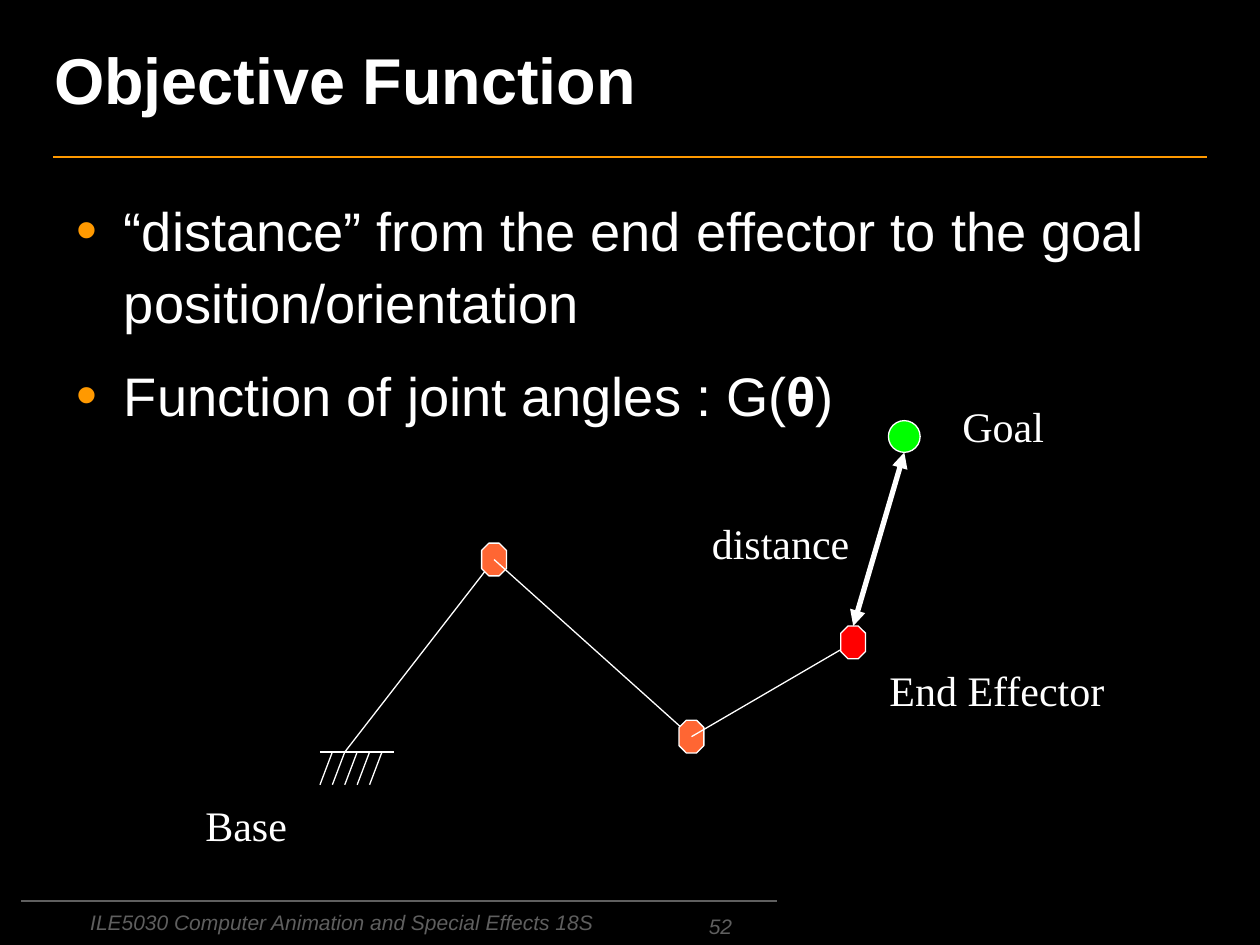
from lxml.etree import SubElement
from pptx import Presentation
from pptx.dml.color import RGBColor
from pptx.enum.shapes import MSO_CONNECTOR, MSO_SHAPE
from pptx.enum.text import MSO_ANCHOR, PP_ALIGN
from pptx.oxml import parse_xml
from pptx.oxml.ns import nsdecls, qn
from pptx.util import Cm, Pt

WHITE, ORANGE, GREY = "FFFFFF", "FF9900", "5F5F5F"
JOINT, EFFECTOR, GOAL = "FF6633", "FF0000", "00FF00"

TITLE = {"name": "Arial", "size": Pt(37), "bold": True}
BODY = {"name": "Arial", "size": Pt(31)}
FOOTER = {"name": "Arial", "size": Pt(12), "italic": True}
LABEL = {"name": "Times New Roman", "size": Pt(24)}


def rgb(hex_colour):
    return RGBColor.from_string(hex_colour)


def apply(target, values):
    for name, value in values.items():
        setattr(target, name, value)


class Deck:
    """Holds the presentation, its style and the current slide."""

    def __init__(self, width, height):
        self.presentation = Presentation()
        self.presentation.slide_width = Cm(width)
        self.presentation.slide_height = Cm(height)

    def add_slide(self, background):
        layout = self.presentation.slide_layouts[6]
        self.slide = self.presentation.slides.add_slide(layout)
        fill = self.slide.background.fill
        fill.solid()
        fill.fore_color.rgb = rgb(background)

    def line(self, start, end, colour=WHITE, width=0.75, arrows=False):
        connector = self.slide.shapes.add_connector(
            MSO_CONNECTOR.STRAIGHT, *map(Cm, (*start, *end)))
        connector.line.color.rgb = rgb(colour)
        connector.line.width = Pt(width)
        if arrows:
            outline = connector.line._get_or_add_ln()
            for tag in ("a:headEnd", "a:tailEnd"):
                SubElement(outline, qn(tag), type="triangle")
        SubElement(connector._element.spPr, qn("a:effectLst"))

    def node(self, kind, centre, width, height, colour):
        """Draw an outlined shape around its centre point."""
        x, y = centre
        node = self.slide.shapes.add_shape(
            kind, Cm(x - width / 2), Cm(y - height / 2), Cm(width), Cm(height))
        node.shadow.inherit = False
        node.fill.solid()
        node.fill.fore_color.rgb = rgb(colour)
        node.line.color.rgb = rgb(WHITE)
        node.line.width = Pt(0.75)

    def frame(self, box, wrap=True, anchor=MSO_ANCHOR.TOP):
        frame = self.slide.shapes.add_textbox(*map(Cm, box)).text_frame
        apply(frame, {"word_wrap": wrap, "vertical_anchor": anchor})
        return frame

    def run(self, paragraph, text, font, colour=WHITE):
        run = paragraph.add_run()
        run.text = text
        apply(run.font, font)
        run.font.color.rgb = rgb(colour)
        return run

    def text(self, box, text, font, colour=WHITE, align=PP_ALIGN.LEFT, **layout):
        paragraph = self.frame(box, **layout).paragraphs[0]
        paragraph.alignment = align
        return self.run(paragraph, text, font, colour)

    def title(self, box, text, shadow):
        run = self.text(box, text, TITLE, anchor=MSO_ANCHOR.MIDDLE)
        fill = run.font._element.find(qn("a:solidFill"))
        fill.addnext(parse_xml(
            f'<a:effectLst {nsdecls("a")}>'
            '<a:outerShdw dist="35921" dir="2700000">'
            f'<a:srgbClr val="{shadow}"/></a:outerShdw></a:effectLst>'))

    def bullets(self, box, items):
        """Each item is a list of (text, bold) runs."""
        frame = self.frame(box)
        for index, item in enumerate(items):
            paragraph = frame.add_paragraph() if index else frame.paragraphs[0]
            apply(paragraph, {"line_spacing": 1.1, "space_after": Pt(6),
                              "space_before": Pt(6 if index else 0)})
            properties = paragraph._p.get_or_add_pPr()
            properties.set("marL", str(Cm(0.95)))
            properties.set("indent", str(Cm(-0.95)))
            bullet_colour = SubElement(properties, qn("a:buClr"))
            SubElement(bullet_colour, qn("a:srgbClr"), val=ORANGE)
            SubElement(properties, qn("a:buSzPct"), val="110000")
            SubElement(properties, qn("a:buFont"), typeface="Arial")
            SubElement(properties, qn("a:buChar"), char="•")
            for text, bold in item:
                self.run(paragraph, text, {**BODY, "bold": bold})


def main():
    deck = Deck(25.4, 19.05)
    deck.add_slide("000000")

    deck.line((1.07, 3.17), (24.33, 3.17), ORANGE, 1)
    deck.line((0.43, 18.16), (15.67, 18.16), GREY, 1)
    deck.text((1.57, 18.21, 12.62, 0.84),
              "ILE5030 Computer Animation and Special Effects 18S", FOOTER, GREY)
    deck.text((9.09, 18.36, 5.92, 0.69), "52", FOOTER, GREY,
              PP_ALIGN.RIGHT, anchor=MSO_ANCHOR.BOTTOM)

    deck.title((0.84, 0, 18.62, 3.17), "Objective Function", "993399")
    deck.bullets((1.3, 3.73, 22.86, 13.03), [
        [("“distance” from the end effector to the goal position/orientation", False)],
        [("Function of joint angles : G(", False), ("θ", True), (")", False)],
    ])

    # Fixed base: ground line with evenly spaced hatching
    ground, hatch_top, hatch_gap = 15.16, 6.7, 0.25
    deck.line((6.45, ground), (7.95, ground))
    for hatch in range(5):
        x = hatch_top + hatch * hatch_gap
        deck.line((x, ground), (x - hatch_gap, ground + 0.66))

    # Arm: each link ends in the joint drawn over it
    joint_width, joint_height, goal_size = 0.5, 0.66, 0.64
    effector, goal = (17.2, 12.95), (18.23, 8.8)
    start = (6.95, ground)
    for end, colour in (((9.96, 11.28), JOINT), ((13.94, 14.85), JOINT),
                        (effector, EFFECTOR)):
        deck.line(start, end)
        deck.node(MSO_SHAPE.OCTAGON, end, joint_width, joint_height, colour)
        start = end

    deck.node(MSO_SHAPE.OVAL, goal, goal_size, goal_size, GOAL)
    deck.line((effector[0], effector[1] - joint_height / 2),
              (goal[0], goal[1] + goal_size / 2), width=3, arrows=True)

    for text, x, y, width in (("Base", 3.89, 16, 2.16),
                              ("End Effector", 17.68, 13.28, 4.85),
                              ("Goal", 19.15, 7.95, 2.16),
                              ("distance", 14.1, 10.31, 3.28)):
        deck.text((x, y, width, 1.27), text, LABEL, wrap=False)

    deck.presentation.save("out.pptx")


if __name__ == "__main__":
    main()
